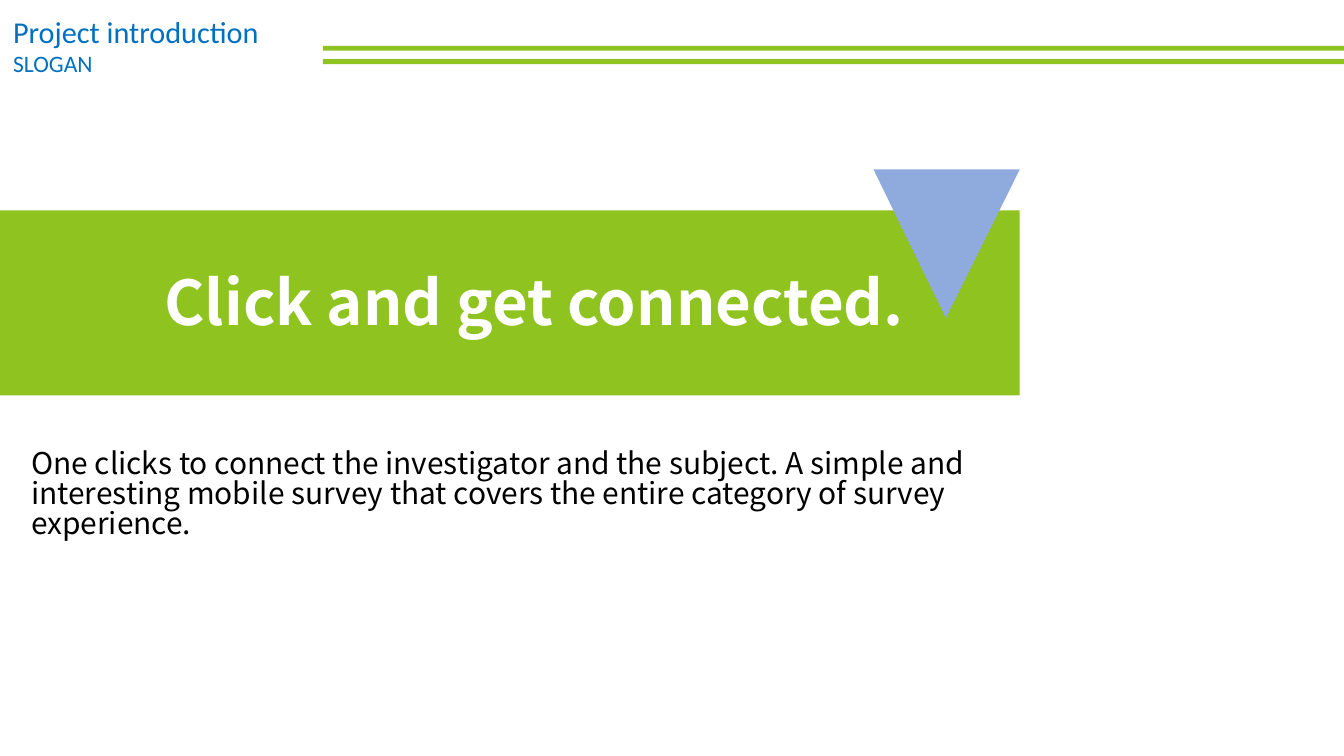
from pptx import Presentation
from pptx.dml.color import RGBColor
from pptx.enum.shapes import MSO_SHAPE
from pptx.enum.text import MSO_ANCHOR, MSO_AUTO_SIZE, PP_ALIGN
from pptx.util import Inches, Pt

GREEN = RGBColor(0x8F, 0xC3, 0x1F)
PERIWINKLE = RGBColor(0x8F, 0xAA, 0xDC)
BLUE = RGBColor(0x00, 0x70, 0xC0)
BLACK = RGBColor(0x00, 0x00, 0x00)
WHITE = RGBColor(0xFF, 0xFF, 0xFF)
HEADER_FONT = "Calibri"
BODY_FONT = "Noto Sans CJK SC"
SLIDE_WIDTH = 11.11
BANNER_WIDTH = 8.43


def paint(shape, color):
    shape.shadow.inherit = False
    shape.fill.solid()
    shape.fill.fore_color.rgb = color
    shape.line.fill.background()


def add_bar(slide, left, top, width, height):
    bar = slide.shapes.add_shape(
        MSO_SHAPE.RECTANGLE, Inches(left), Inches(top), Inches(width), Inches(height))
    paint(bar, GREEN)
    return bar


def add_run(paragraph, text, size, font_name, color, bold=False):
    run = paragraph.add_run()
    run.text = text
    font = run.font
    font.size, font.name, font.bold = Pt(size), font_name, bold
    font.color.rgb = color


def add_text(slide, left, top, width, height, lines, font_name, color, spacing=1.0):
    box = slide.shapes.add_textbox(
        Inches(left), Inches(top), Inches(width), Inches(height))
    frame = box.text_frame
    frame.word_wrap = True
    frame.auto_size = MSO_AUTO_SIZE.SHAPE_TO_FIT_TEXT
    for index, (text, size) in enumerate(lines):
        paragraph = frame.add_paragraph() if index else frame.paragraphs[0]
        paragraph.line_spacing = spacing
        add_run(paragraph, text, size, font_name, color)


def add_banner(slide, text):
    banner = add_bar(slide, 0, 1.74, BANNER_WIDTH, 1.53)
    frame = banner.text_frame
    frame.word_wrap = True
    frame.vertical_anchor = MSO_ANCHOR.MIDDLE
    frame.margin_left, frame.margin_right = Inches(1.36), Inches(0.1)
    frame.margin_top, frame.margin_bottom = Inches(0), Inches(0.04)
    paragraph = frame.paragraphs[0]
    paragraph.alignment = PP_ALIGN.JUSTIFY
    add_run(paragraph, text, 36.7, BODY_FONT, WHITE, bold=True)


def add_polygon(slide, points, color):
    corners = [(Inches(x), Inches(y)) for x, y in points]
    builder = slide.shapes.build_freeform(*corners[0])
    builder.add_line_segments(corners[1:], close=True)
    paint(builder.convert_to_shape(), color)


def main():
    presentation = Presentation()
    presentation.slide_width = Inches(SLIDE_WIDTH)
    presentation.slide_height = Inches(6.25)
    slide = presentation.slides.add_slide(presentation.slide_layouts[6])

    for top in (0.38, 0.49):
        add_bar(slide, 2.67, top, SLIDE_WIDTH - 2.67, 0.04)
    add_text(slide, 0.01, 0.06, 3.02, 0.64,
             [("Project introduction", 18), ("SLOGAN", 14)], HEADER_FONT, BLUE)
    add_banner(slide, "Click and get connected.")
    add_polygon(slide, [(7.22, 1.4), (BANNER_WIDTH, 1.4), (7.82, 2.63)], PERIWINKLE)
    add_text(slide, 0.16, 3.68, 8.26, 1.23,
             [("One clicks to connect the investigator and the subject. A simple and "
               "interesting mobile survey that covers the entire category of survey "
               "experience.", 17.8)], BODY_FONT, BLACK, spacing=0.83)

    presentation.save("out.pptx")


if __name__ == "__main__":
    main()
